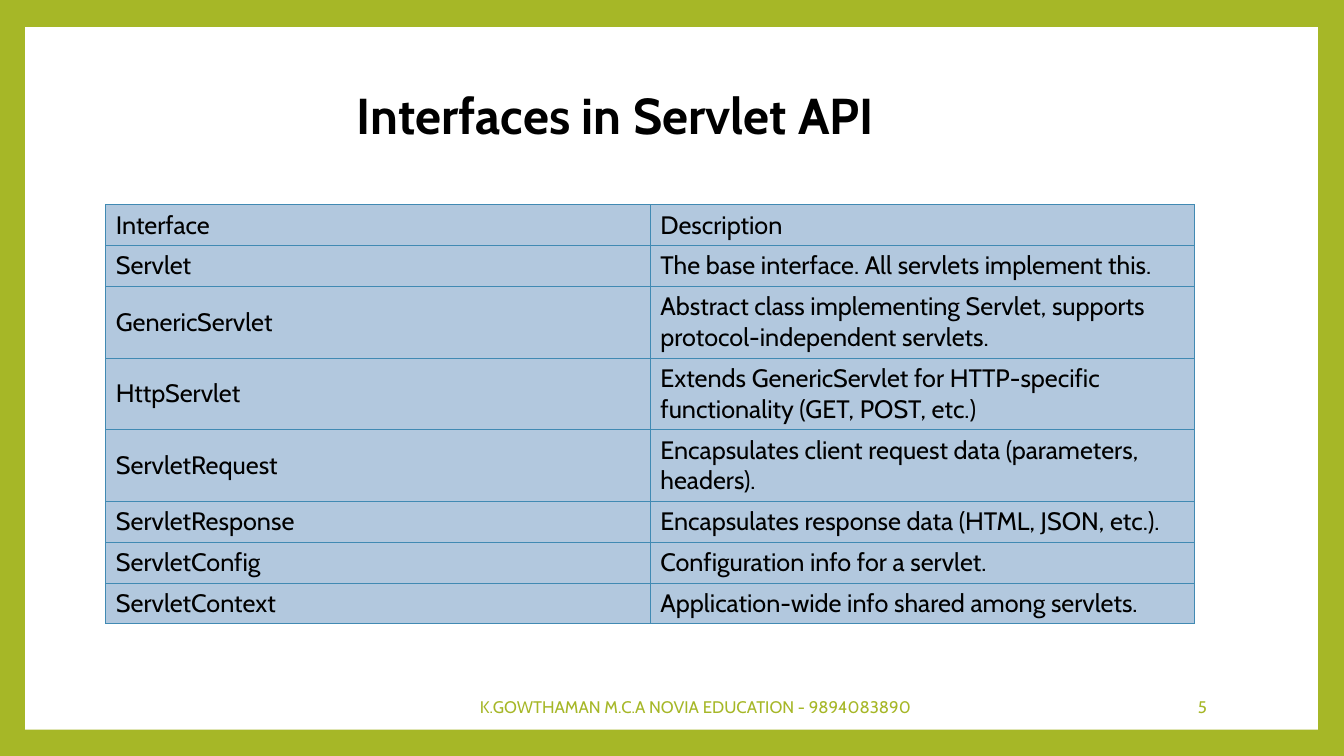
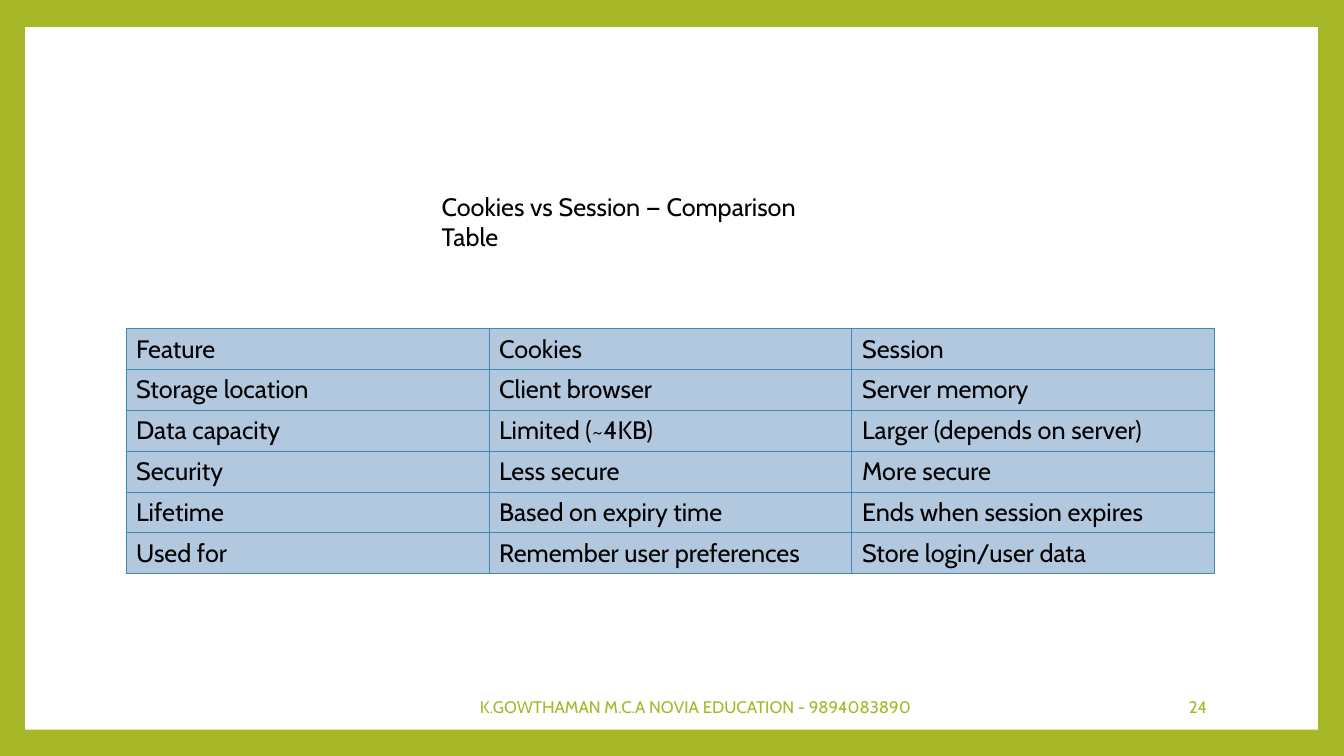
import pptx
import pptx.dml.color
import pptx.enum.shapes
import pptx.enum.text
import pptx.oxml
import pptx.oxml.ns
import pptx.util

Inches, Pt = pptx.util.Inches, pptx.util.Pt
RGBColor = pptx.dml.color.RGBColor
MSO_ANCHOR = pptx.enum.text.MSO_ANCHOR
PP_ALIGN = pptx.enum.text.PP_ALIGN

GREEN = RGBColor(0xA6, 0xB7, 0x27)
WHITE = RGBColor(0xFF, 0xFF, 0xFF)
BLACK = RGBColor(0, 0, 0)
CELL_BLUE = RGBColor(0xB2, 0xC8, 0xDE)
BORDER_BLUE = RGBColor(0x41, 0x8A, 0xB3)
FONT = "Cabin"
FOOTER = "K.GOWTHAMAN M.C.A NOVIA EDUCATION - 9894083890"
TABLE_WIDTH = 10.8
LINE_HEIGHT = 0.3
CELL_PADDING = 0.1

SLIDES = [
    {
        "title": "Interfaces in Servlet API",
        "title_box": (3.44, 0.78, 5.38, 0.71),
        "title_size": 36,
        "title_bold": True,
        "number": 5,
        "table_at": (1.05, 2.03),
        "two_line_rows": (2, 3, 4),
        "rows": [
            ("Interface", "Description"),
            ("Servlet", "The base interface. All servlets implement this."),
            ("GenericServlet", "Abstract class implementing Servlet, supports protocol-independent servlets."),
            ("HttpServlet", "Extends GenericServlet for HTTP-specific functionality (GET, POST, etc.)"),
            ("ServletRequest", "Encapsulates client request data (parameters, headers)."),
            ("ServletResponse", "Encapsulates response data (HTML, JSON, etc.)."),
            ("ServletConfig", "Configuration info for a servlet."),
            ("ServletContext", "Application-wide info shared among servlets."),
        ],
    },
    {
        "title": "Cookies vs Session — Comparison Table",
        "title_box": (4.28, 1.85, 4.3, 0.4),
        "title_size": 18,
        "title_bold": False,
        "number": 24,
        "table_at": (1.25, 3.26),
        "two_line_rows": (),
        "rows": [
            ("Feature", "Cookies", "Session"),
            ("Storage location", "Client browser", "Server memory"),
            ("Data capacity", "Limited (~4KB)", "Larger (depends on server)"),
            ("Security", "Less secure", "More secure"),
            ("Lifetime", "Based on expiry time", "Ends when session expires"),
            ("Used for", "Remember user preferences", "Store login/user data"),
        ],
    },
]


def write(tf, text, size, color=BLACK, bold=False, align=PP_ALIGN.LEFT):
    tf.text = text
    p = tf.paragraphs[0]
    p.alignment = align
    p.font.name = FONT
    p.font.size = Pt(size)
    p.font.bold = bold
    p.font.color.rgb = color


def add_panel(slide):
    sp = slide.shapes.add_shape(
        pptx.enum.shapes.MSO_SHAPE.RECTANGLE,
        Inches(0.25), Inches(0.27), Inches(12.82), Inches(6.97))
    sp.shadow.inherit = False
    sp.fill.solid()
    sp.fill.fore_color.rgb = WHITE
    sp.line.fill.background()
    slide.shapes.title.element.addprevious(sp.element)


def set_title(slide, content):
    sp = slide.shapes.title
    sp.left, sp.top, sp.width, sp.height = map(Inches, content["title_box"])
    tf = sp.text_frame
    tf.word_wrap = True
    tf.auto_size = pptx.enum.text.MSO_AUTO_SIZE.NONE
    tf.vertical_anchor = MSO_ANCHOR.TOP
    write(tf, content["title"], content["title_size"], bold=content["title_bold"])


def add_footer_text(slide, text, left, width, align):
    sp = slide.shapes.add_textbox(Inches(left), Inches(6.81), Inches(width), Inches(0.4))
    tf = sp.text_frame
    tf.word_wrap = True
    tf.vertical_anchor = MSO_ANCHOR.MIDDLE
    write(tf, text, 12, GREEN, align=align)


def set_borders(cell):
    tc_pr = cell._tc.get_or_add_tcPr()
    for side in ("lnL", "lnR", "lnT", "lnB"):
        tc_pr.append(pptx.oxml.parse_xml(
            f'<a:{side} {pptx.oxml.ns.nsdecls("a")} w="{Pt(0.79)}">'
            f'<a:solidFill><a:srgbClr val="{BORDER_BLUE}"/></a:solidFill></a:{side}>'))


def add_table(slide, content):
    rows = content["rows"]
    columns = len(rows[0])
    heights = [CELL_PADDING + LINE_HEIGHT * (2 if i in content["two_line_rows"] else 1)
               for i in range(len(rows))]
    left, top = content["table_at"]
    table = slide.shapes.add_table(
        len(rows), columns, Inches(left), Inches(top),
        Inches(TABLE_WIDTH), Inches(sum(heights))).table
    table.first_row = False
    table.horz_banding = False
    for column in table.columns:
        column.width = Inches(TABLE_WIDTH / columns)
    for row, height, texts in zip(table.rows, heights, rows):
        row.height = Inches(height)
        for cell, text in zip(row.cells, texts):
            set_borders(cell)
            cell.fill.solid()
            cell.fill.fore_color.rgb = CELL_BLUE
            cell.vertical_anchor = MSO_ANCHOR.MIDDLE
            write(cell.text_frame, text, 18)


def main():
    prs = pptx.Presentation()
    prs.slide_width, prs.slide_height = Inches(13.33), Inches(7.5)
    background = prs.slide_master.background.fill
    background.solid()
    background.fore_color.rgb = GREEN
    title_only = prs.slide_layouts.get_by_name("Title Only")
    for content in SLIDES:
        slide = prs.slides.add_slide(title_only)
        add_panel(slide)
        set_title(slide, content)
        add_table(slide, content)
        add_footer_text(slide, FOOTER, 4.32, 5.16, PP_ALIGN.CENTER)
        add_footer_text(slide, str(content["number"]), 10.2, 1.87, PP_ALIGN.RIGHT)
    prs.save("out.pptx")


if __name__ == "__main__":
    main()
